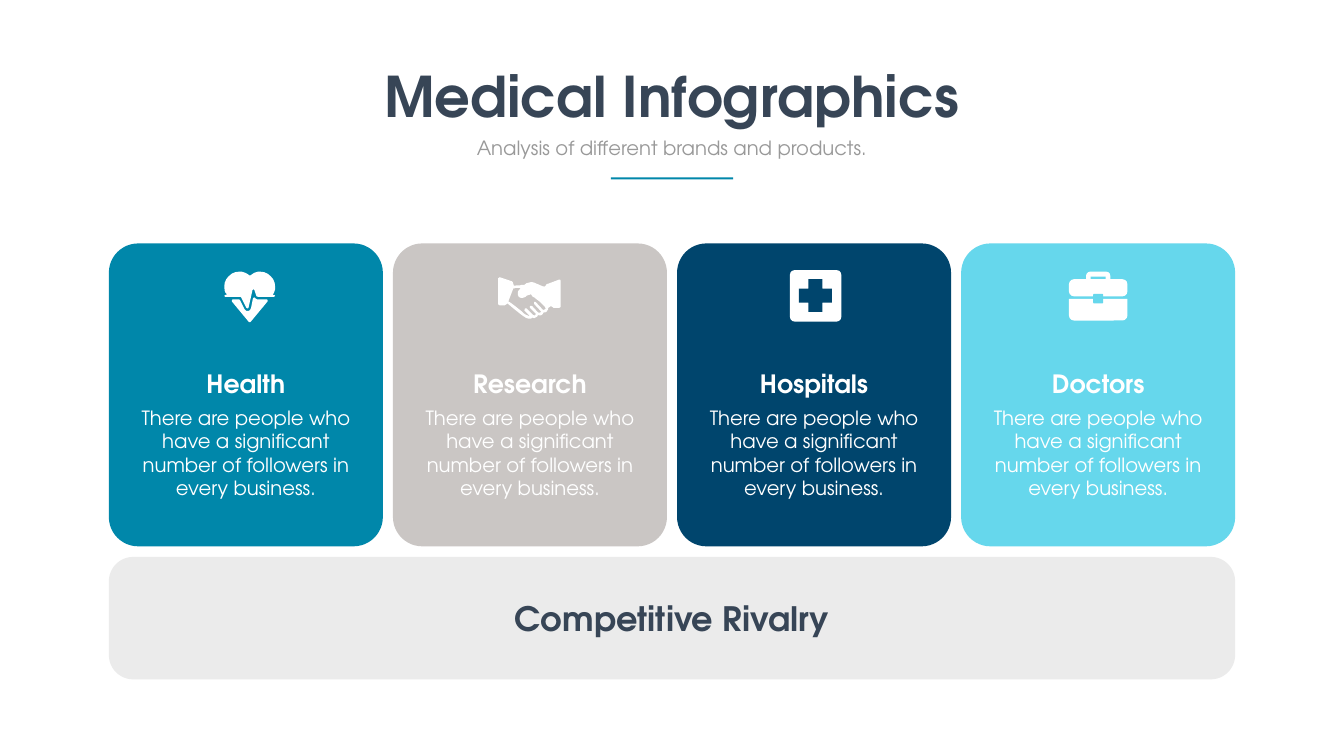
from collections import namedtuple

from pptx import Presentation
from pptx.dml.color import RGBColor
from pptx.enum.shapes import MSO_SHAPE
from pptx.enum.text import MSO_ANCHOR, MSO_AUTO_SIZE, PP_ALIGN
from pptx.util import Inches, Pt

RECT, ROUND = MSO_SHAPE.RECTANGLE, MSO_SHAPE.ROUNDED_RECTANGLE
ROUND_TOP, CROSS = MSO_SHAPE.ROUND_2_SAME_RECTANGLE, MSO_SHAPE.CROSS
TOP, MIDDLE = MSO_ANCHOR.TOP, MSO_ANCHOR.MIDDLE
CENTER, FIXED = PP_ALIGN.CENTER, MSO_AUTO_SIZE.NONE

WHITE = RGBColor(0xFF, 0xFF, 0xFF)
TEAL = RGBColor(0x00, 0x87, 0xAA)
STONE = RGBColor(0xCA, 0xC6, 0xC4)
NAVY = RGBColor(0x00, 0x45, 0x6D)
SKY = RGBColor(0x66, 0xD7, 0xEC)
PALE = RGBColor(0xEB, 0xEB, 0xEB)
SLATE = RGBColor(0x37, 0x45, 0x56)
GREY = RGBColor(0x99, 0x99, 0x99)

FONT = "TeX Gyre Adventor"
WIDTH, HEIGHT = 26.67, 15
MARGIN, GAP = 2.16, 0.2
BODY = "There are people who have a significant number of followers in every business."
UNITS_PER_INCH = 100
CURVE_STEPS = 6

Box = namedtuple("Box", "left top width height")

HEART_TOP = [
    (99, 46), (96, 46), (100, 41, 101, 35, 101, 30), (101, 13, 88, 0, 71, 0),
    (64, 0, 56, 3, 51, 8), (45, 3, 38, 0, 30, 0), (13, 0, 0, 13, 0, 30),
    (0, 35, 2, 41, 5, 46), (2, 46), (0, 48), (2, 50), (32, 50), (34, 52),
    (44, 72), (46, 73), (48, 72), (56, 37), (56, 36, 57, 35, 58, 35),
    (59, 35, 60, 36, 60, 37), (64, 49), (67, 50), (99, 50), (101, 48),
]
HEART_TIP = [
    (86, 56), (84, 55), (67, 55), (65, 55, 63, 54, 61, 52), (59, 51), (57, 53),
    (53, 73), (52, 75, 50, 78, 47, 78), (44, 78, 41, 77, 40, 74), (31, 56),
    (29, 55), (17, 55), (15, 56), (15, 59), (49, 100), (52, 100), (86, 59),
]
HANDS = [
    (123, 6), (120, 6), (99, 14), (97, 14, 95, 16, 93, 19), (93, 20),
    (89, 19, 83, 17, 76, 14), (67, 9, 60, 10, 52, 16), (48, 16, 44, 17, 39, 17),
    (31, 18), (30, 14), (29, 11, 27, 9, 24, 8), (3, 1), (0, 3), (0, 55), (3, 57),
    (10, 57), (13, 57, 16, 56, 18, 53), (22, 56), (29, 62), (39, 70, 51, 79, 53, 80),
    (55, 82, 59, 83, 62, 83), (63, 83, 66, 83, 68, 81), (70, 82, 72, 82, 74, 81),
    (77, 80, 78, 79, 79, 76), (81, 77, 84, 77, 86, 76), (88, 75, 89, 73, 90, 71),
    (92, 71, 94, 71, 95, 70), (98, 68, 99, 65, 99, 62), (105, 58),
    (107, 61, 110, 62, 114, 62), (121, 62), (124, 60), (124, 8),
]
FINGERS = [
    (92, 65), (90, 66), (89, 66), (74, 50), (71, 50), (71, 54), (85, 69),
    (85, 70, 84, 71, 83, 71), (82, 72, 80, 72, 79, 71), (67, 58), (63, 58), (63, 62),
    (75, 74), (72, 77), (69, 76), (56, 63), (53, 63), (52, 67), (63, 78), (62, 78),
    (60, 78, 57, 77, 56, 76), (54, 75, 43, 66, 33, 58), (25, 52), (20, 49), (30, 23),
    (33, 23, 36, 22, 40, 22), (45, 22), (42, 25, 38, 30, 39, 35),
    (39, 37, 40, 39, 42, 41), (44, 41, 45, 42, 47, 42), (50, 42, 55, 40, 58, 37),
    (61, 36, 62, 36, 64, 35), (67, 38, 71, 41, 75, 44), (83, 50, 91, 57, 93, 61),
    (95, 63, 93, 65, 92, 65),
]


def paint(shape, color):
    """Give a shape a plain fill without line or shadow."""
    shape.fill.solid()
    shape.fill.fore_color.rgb = color
    shape.line.fill.background()
    shape.shadow.inherit = False


def add_block(page, kind, box, color, adjustments=()):
    """Add a plain preset shape in the given box."""
    shape = page.shapes.add_shape(kind, *map(Inches, box))
    for index, value in enumerate(adjustments):
        shape.adjustments[index] = value
    paint(shape, color)


def write(frame, text, size, color, bold=False, anchor=TOP):
    """Write one centred run in a text frame."""
    frame.word_wrap = True
    frame.auto_size = FIXED
    frame.vertical_anchor = anchor
    para = frame.paragraphs[0]
    para.alignment = CENTER
    span = para.add_run()
    span.text = text
    span.font.name = FONT
    span.font.size = Pt(size)
    span.font.bold = bold
    span.font.color.rgb = color


def add_label(page, box, *style, **options):
    """Add a text box with one centred run."""
    write(page.shapes.add_textbox(*map(Inches, box)).text_frame, *style, **options)


def flatten(outline):
    """Turn corners and cubic curves into a list of points."""
    points = []
    for step in outline:
        if len(step) == 2:
            points.append(step)
            continue
        controls = [points[-1], step[:2], step[2:4], step[4:]]
        for index in range(1, CURVE_STEPS + 1):
            t = index / CURVE_STEPS
            weights = ((1 - t) ** 3, 3 * t * (1 - t) ** 2, 3 * t * t * (1 - t), t ** 3)
            points.append(tuple(sum(w * p[axis] for w, p in zip(weights, controls))
                                for axis in (0, 1)))
    return points


def add_outline(page, left, top, *outlines):
    """Add one white freeform made of closed outlines."""
    contours = [flatten(outline) for outline in outlines]
    builder = page.shapes.build_freeform(*contours[0][0], scale=Inches(1) / UNITS_PER_INCH)
    builder.add_line_segments(contours[0][1:], close=True)
    for contour in contours[1:]:
        builder.move_to(*contour[0])
        builder.add_line_segments(contour[1:], close=True)
    paint(builder.convert_to_shape(Inches(left), Inches(top)), WHITE)


def draw_heart(page, card, color):
    """Draw a heart split by a pulse line."""
    for outline in (HEART_TIP, HEART_TOP):
        add_outline(page, card.left + 2.29, card.top + 0.56, outline)


def draw_handshake(page, card, color):
    """Draw two joined hands."""
    add_outline(page, card.left + 2.09, card.top + 0.66, HANDS, FINGERS)


def draw_hospital(page, card, color):
    """Draw a cross on a rounded square."""
    left, top = card.left + 2.24, card.top + 0.53
    add_block(page, ROUND, (left, top, 1.02, 1.02), WHITE, [0.09])
    add_block(page, CROSS, (left + 0.18, top + 0.18, 0.65, 0.65), color, [0.285])


def draw_briefcase(page, card, color):
    """Draw a briefcase with handle and clasp."""
    left, top = card.left + 2.14, card.top + 0.56
    add_block(page, ROUND_TOP, (left + 0.34, top, 0.48, 0.16), WHITE, [0.5, 0])
    add_block(page, RECT, (left + 0.43, top + 0.1, 0.3, 0.05), color)
    add_block(page, ROUND, (left, top + 0.15, 1.16, 0.34), WHITE, [0.29])
    add_block(page, ROUND_TOP, (left, top + 0.54, 1.16, 0.43), WHITE, [0, 0.23])
    add_block(page, ROUND, (left + 0.48, top + 0.44, 0.2, 0.19), color, [0.12])


def add_header(page, box):
    """Place the title, the subtitle and the rule below them."""
    center = box.left + box.width / 2
    title = page.shapes.title
    title.left, title.top, title.width, title.height = map(
        Inches, (box.left, box.top, box.width, 1.45))
    write(title.text_frame, "Medical Infographics", 80, SLATE, bold=True)
    add_label(page, (center - 4.78, box.top + 1.48, 9.56, 0.57),
              "Analysis of different brands and products.", 28, GREY)
    add_block(page, RECT, (center - 1.21, box.top + 2.35, 2.43, 0.04), TEAL)


def add_card(page, box, heading, color, draw_icon):
    """Place one coloured card with icon, heading and body."""
    add_block(page, ROUND, box, color, [0.107])
    draw_icon(page, box, color)
    add_label(page, (box.left + 0.19, box.top + 2.42, box.width - 0.38, 0.71),
              heading, 36, WHITE, bold=True)
    add_label(page, (box.left + 0.49, box.top + 3.17, box.width - 0.98, 1.99),
              BODY, 28, WHITE)


def add_footer(page, box):
    """Place the wide bar with its caption."""
    add_block(page, ROUND, box, PALE, [0.199])
    add_label(page, box, "Competitive Rivalry", 48, SLATE, bold=True, anchor=MIDDLE)


def main():
    """Build the deck."""
    deck = Presentation()
    deck.slide_width, deck.slide_height = Inches(WIDTH), Inches(HEIGHT)
    page = deck.slides.add_slide(deck.slide_layouts[5])
    add_header(page, Box(7.46, 1.17, 11.74, 2.39))
    cards = [
        ("Health", TEAL, draw_heart),
        ("Research", STONE, draw_handshake),
        ("Hospitals", NAVY, draw_hospital),
        ("Doctors", SKY, draw_briefcase),
    ]
    span_width = WIDTH - 2 * MARGIN
    pitch = (span_width + GAP) / len(cards)
    for index, card in enumerate(cards):
        add_card(page, Box(MARGIN + index * pitch, 4.83, pitch - GAP, 6.01), *card)
    add_footer(page, Box(MARGIN, 11.05, span_width, 2.43))
    deck.save("out.pptx")


if __name__ == "__main__":
    main()
